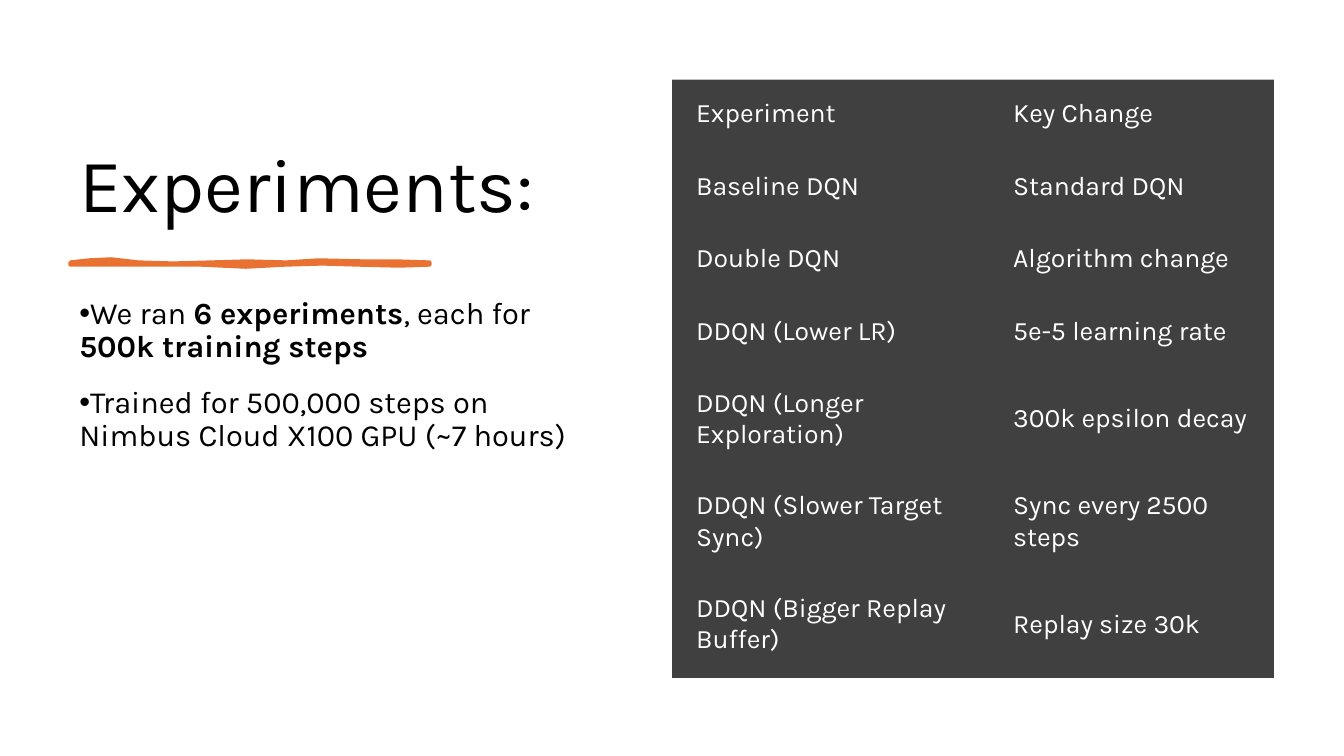
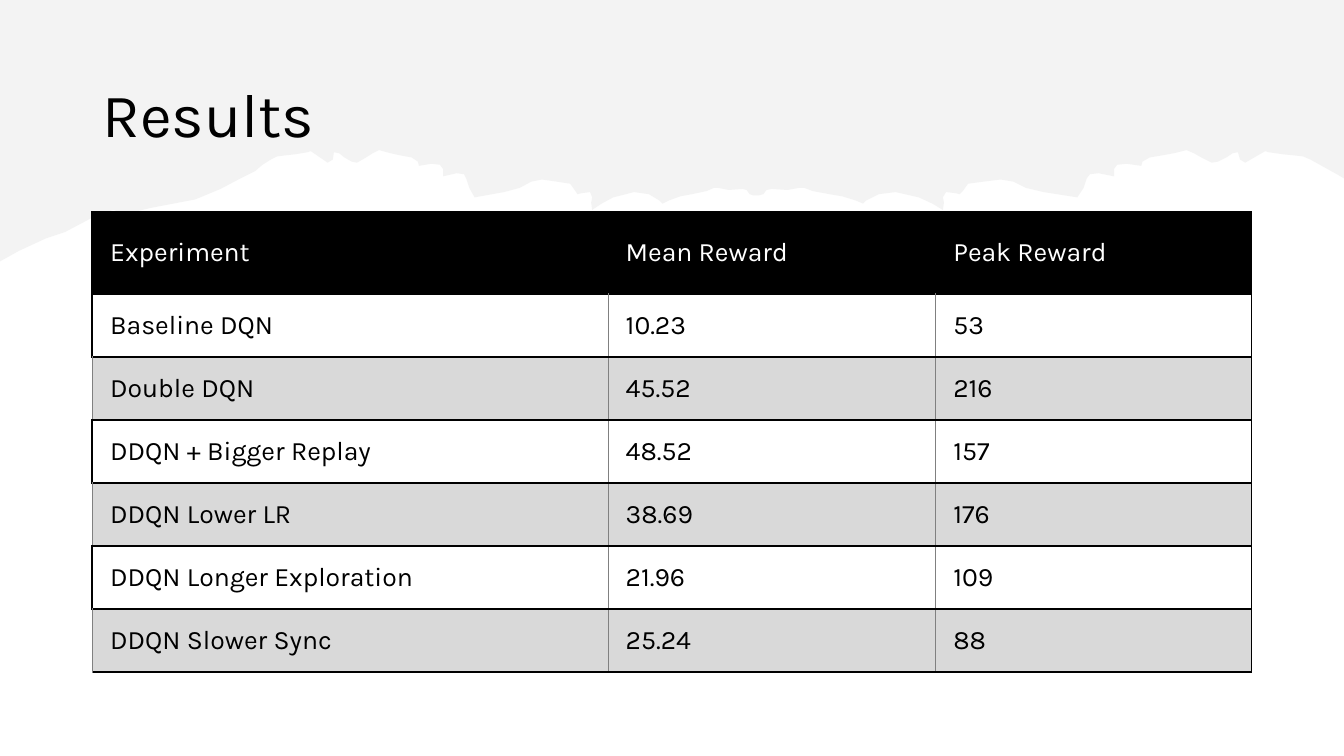
import lxml.etree
import pptx
import pptx.dml.color
import pptx.enum.text
import pptx.oxml.ns
import pptx.util

PX = 9525
FONT = "Karla"
BLACK = pptx.dml.color.RGBColor(0x00, 0x00, 0x00)
WHITE = pptx.dml.color.RGBColor(0xFF, 0xFF, 0xFF)
ORANGE = pptx.dml.color.RGBColor(0xE9, 0x71, 0x32)
CHARCOAL = pptx.dml.color.RGBColor(0x40, 0x40, 0x40)
GRID_GRAY = pptx.dml.color.RGBColor(0x80, 0x80, 0x80)
RULE_GRAY = pptx.dml.color.RGBColor(0xBF, 0xBF, 0xBF)
BAND_GRAY = pptx.dml.color.RGBColor(0xD9, 0xD9, 0xD9)
MOUNTAIN_GRAY = pptx.dml.color.RGBColor(0xE8, 0xE8, 0xE8)
NO_GRID_STYLE = "{2D5ABB26-0587-4C30-8999-92F81FD0307C}"

TITLE_AND_CONTENT = 1
TITLE_ONLY = 5
SLIDE_WIDTH = 1280
SLIDE_HEIGHT = 720

EXPERIMENTS = [
    ["Experiment", "Key Change"],
    ["Baseline DQN", "Standard DQN"],
    ["Double DQN", "Algorithm change"],
    ["DDQN (Lower LR)", "5e-5 learning rate"],
    ["DDQN (Longer Exploration)", "300k epsilon decay"],
    ["DDQN (Slower Target Sync)", "Sync every 2500 steps"],
    ["DDQN (Bigger Replay Buffer)", "Replay size 30k"],
]
RESULTS = [
    ["Experiment", "Mean Reward", "Peak Reward"],
    ["Baseline DQN", "10.23", "53"],
    ["Double DQN", "45.52", "216"],
    ["DDQN + Bigger Replay", "48.52", "157"],
    ["DDQN Lower LR", "38.69", "176"],
    ["DDQN Longer Exploration", "21.96", "109"],
    ["DDQN Slower Sync", "25.24", "88"],
]
BULLETS = [
    [("We ran ", False), ("6 experiments", True), (", each for ", False),
     ("500k training steps", True)],
    [("Trained for 500,000 steps on Nimbus Cloud X100 GPU (~7 hours)", False)],
]

BRUSH_STROKE = [
    (67, 250), (85, 248), (106, 247), (132, 250), (165, 251), (201, 250),
    (235, 249), (273, 250), (303, 248), (345, 249), (377, 249), (409, 250),
    (409, 252), (380, 253), (341, 252), (307, 251), (272, 252), (234, 254),
    (191, 252), (150, 252), (110, 252), (67, 252),
]
FOOTHILL = [
    (0, 249), (18, 239), (44, 227), (62, 221), (79, 212), (94, 204),
    (108, 200), (114, 202), (115, 206), (127, 202), (144, 198), (186, 190),
    (210, 180), (229, 170), (243, 163),
]
RIDGE = [
    (250, 157), (258, 152), (264, 149), (272, 148), (281, 147), (293, 145),
    (296, 144), (312, 155), (317, 152), (318, 145), (323, 146), (328, 150),
    (335, 154), (340, 155), (347, 151), (355, 146), (361, 143), (372, 146),
    (381, 148), (392, 150), (398, 154), (399, 158), (411, 156), (419, 157),
    (422, 161), (422, 168), (435, 165), (442, 166), (444, 170), (447, 179),
    (452, 188), (480, 183), (495, 179), (506, 173), (516, 171), (530, 173),
    (543, 175), (548, 182), (550, 185), (554, 184), (562, 183), (564, 188),
    (563, 193), (564, 200), (573, 194), (584, 188), (604, 183), (618, 185),
    (628, 191), (631, 194), (637, 191), (648, 187), (659, 185), (673, 182),
    (680, 179), (684, 179), (694, 181), (707, 180), (711, 181), (714, 185),
    (717, 186),
]
RIDGE_CENTER = 720
RIDGE_STRETCH = 8 / 7


def px(length):
    return pptx.util.Emu(length * PX)


def add_text(paragraph, text, size=19, color=BLACK, bold=False):
    run = paragraph.add_run()
    run.text = text
    run.font.name = FONT
    run.font.size = pptx.util.Pt(size)
    run.font.color.rgb = color
    run.font.bold = bold


def place(shape, left, top, width, height):
    shape.left, shape.top = px(left), px(top)
    shape.width, shape.height = px(width), px(height)


def set_title(slide, text, box, size, anchor):
    title = slide.shapes.title
    place(title, *box)
    frame = title.text_frame
    frame.auto_size = pptx.enum.text.MSO_AUTO_SIZE.NONE
    frame.vertical_anchor = anchor
    paragraph = frame.paragraphs[0]
    paragraph.alignment = pptx.enum.text.PP_ALIGN.LEFT
    paragraph.line_spacing = 0.9
    add_text(paragraph, text, size=size)


def set_bullets(body, items, box):
    place(body, *box)
    frame = body.text_frame
    frame.auto_size = pptx.enum.text.MSO_AUTO_SIZE.NONE
    for index, runs in enumerate(items):
        paragraph = frame.add_paragraph() if index else frame.paragraphs[0]
        paragraph.line_spacing = 0.9
        paragraph.space_before = pptx.util.Pt(10)
        paragraph.space_after = pptx.util.Pt(6)
        properties = paragraph._p.get_or_add_pPr()
        properties.set("marL", "0")
        properties.set("indent", str(px(-24)))
        bullet = lxml.etree.SubElement(properties, pptx.oxml.ns.qn("a:buChar"))
        bullet.set("char", "•")
        for text, bold in runs:
            add_text(paragraph, text, size=22, bold=bold)


def add_outline(slide, points, color):
    builder = slide.shapes.build_freeform(*points[0], scale=PX)
    builder.add_line_segments(points[1:], close=True)
    shape = builder.convert_to_shape()
    shape.shadow.inherit = False
    shape.fill.solid()
    shape.fill.fore_color.rgb = color
    return shape


def add_brush_stroke(slide):
    stroke = add_outline(slide, BRUSH_STROKE, ORANGE)
    stroke.line.color.rgb = ORANGE
    stroke.line.width = pptx.util.Pt(3)


def add_mountains(slide):
    mirrored = [
        (round(RIDGE_CENTER + (RIDGE_CENTER - x) * RIDGE_STRETCH), y)
        for x, y in reversed(RIDGE)
    ]
    edge = [(1275, 167), (SLIDE_WIDTH, 170), (SLIDE_WIDTH, 0), (0, 0)]
    mountains = add_outline(slide, FOOTHILL + RIDGE + mirrored + edge, MOUNTAIN_GRAY)
    mountains.line.fill.background()
    color = mountains._element.spPr.find(".//" + pptx.oxml.ns.qn("a:srgbClr"))
    lxml.etree.SubElement(color, pptx.oxml.ns.qn("a:alpha")).set("val", "50000")
    slide.shapes._spTree.insert(2, mountains._element)


def set_borders(cell, borders):
    properties = cell._tc.get_or_add_tcPr()
    for side in "LRTB":
        line = lxml.etree.SubElement(properties, pptx.oxml.ns.qn("a:ln" + side))
        if side not in borders:
            lxml.etree.SubElement(line, pptx.oxml.ns.qn("a:noFill"))
            continue
        color, width = borders[side]
        line.set("w", str(pptx.util.Pt(width)))
        fill = lxml.etree.SubElement(line, pptx.oxml.ns.qn("a:solidFill"))
        lxml.etree.SubElement(fill, pptx.oxml.ns.qn("a:srgbClr")).set("val", str(color))


def experiment_style(row, column):
    borders = {} if row else {"T": (RULE_GRAY, 1)}
    return CHARCOAL, WHITE, borders


def result_style(row, column):
    strong, thin = (BLACK, 1.5), (GRID_GRAY, 0.5)
    if row == 0:
        return BLACK, WHITE, dict.fromkeys("LRTB", strong)
    banded = row % 2 == 0
    borders = {
        "L": strong if column == 0 and not banded else thin,
        "R": strong if column == 2 else thin,
        "T": strong,
        "B": strong,
    }
    return BAND_GRAY if banded else None, BLACK, borders


def add_table(slide, rows, position, widths, heights, margins, style):
    left, top = position
    graphic = slide.shapes.add_table(
        len(rows), len(widths), px(left), px(top), px(sum(widths)), px(sum(heights)))
    table = graphic.table
    table.first_row = table.horz_banding = False
    table._tbl.tblPr.find(pptx.oxml.ns.qn("a:tableStyleId")).text = NO_GRID_STYLE
    for column, width in zip(table.columns, widths):
        column.width = px(width)
    for row, height in zip(table.rows, heights):
        row.height = px(height)
    for row_index, texts in enumerate(rows):
        for column_index, text in enumerate(texts):
            cell = table.cell(row_index, column_index)
            fill, color, borders = style(row_index, column_index)
            set_borders(cell, borders)
            if fill is None:
                cell.fill.background()
            else:
                cell.fill.solid()
                cell.fill.fore_color.rgb = fill
            cell.vertical_anchor = pptx.enum.text.MSO_ANCHOR.MIDDLE
            (cell.margin_left, cell.margin_top,
             cell.margin_right, cell.margin_bottom) = map(px, margins)
            add_text(cell.text_frame.paragraphs[0], text, color=color)


def add_slide(presentation, layout):
    return presentation.slides.add_slide(presentation.slide_layouts[layout])


def build_experiments(presentation):
    slide = add_slide(presentation, TITLE_AND_CONTENT)
    set_title(slide, "Experiments:", (66, 67, 506, 156), 54,
              pptx.enum.text.MSO_ANCHOR.BOTTOM)
    add_brush_stroke(slide)
    set_bullets(slide.placeholders[1], BULLETS, (66, 279, 506, 372))
    add_table(slide, EXPERIMENTS, (640, 76), [302, 271], [69] * 4 + [98] * 3,
              (23, 14, 18, 18), experiment_style)


def build_results(presentation):
    slide = add_slide(presentation, TITLE_ONLY)
    add_mountains(slide)
    set_title(slide, "Results", (88, 63, 1104, 98), 44,
              pptx.enum.text.MSO_ANCHOR.MIDDLE)
    add_table(slide, RESULTS, (88, 202), [491, 312, 301], [78] + [60] * 6,
              (17, 13, 22, 13), result_style)


def main():
    presentation = pptx.Presentation()
    presentation.slide_width = px(SLIDE_WIDTH)
    presentation.slide_height = px(SLIDE_HEIGHT)
    build_experiments(presentation)
    build_results(presentation)
    presentation.save("out.pptx")


if __name__ == "__main__":
    main()
